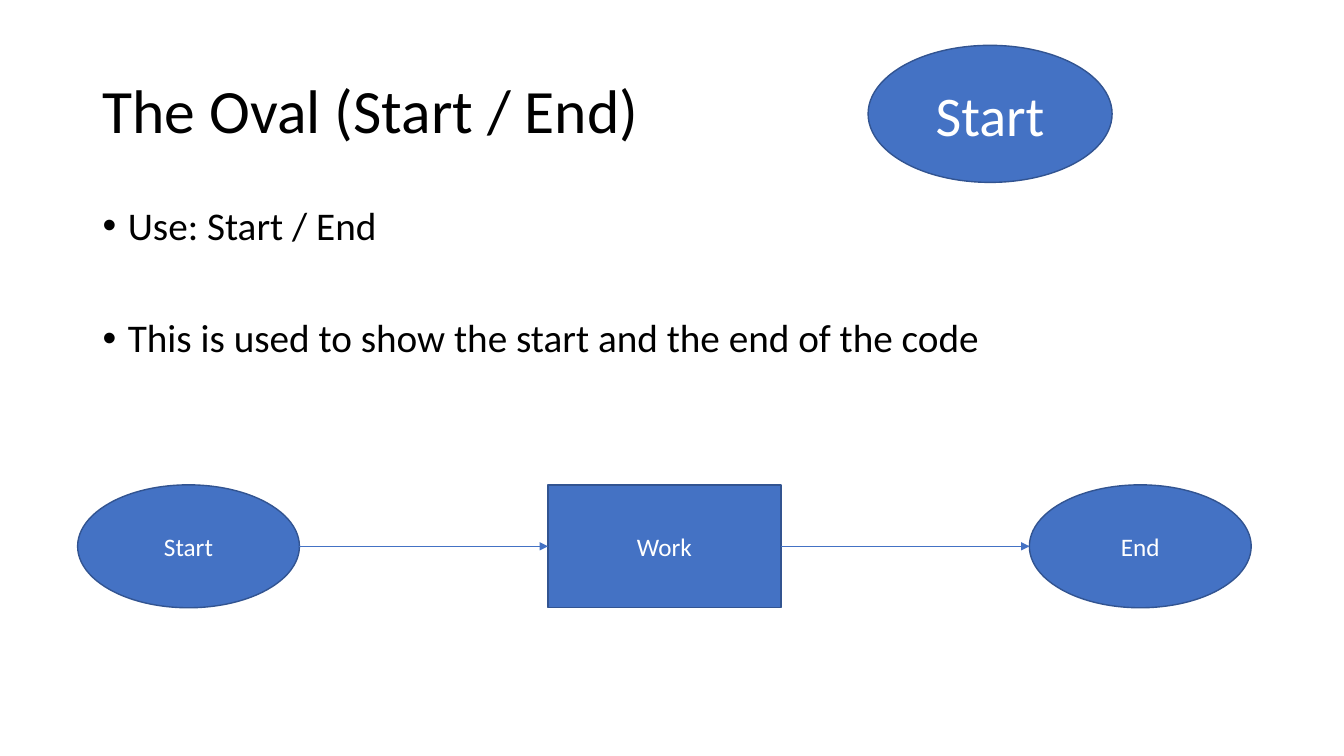
from dataclasses import dataclass

from lxml.etree import SubElement
from pptx import Presentation
from pptx.dml.color import RGBColor
from pptx.enum.shapes import MSO_CONNECTOR, MSO_SHAPE
from pptx.enum.text import MSO_ANCHOR, PP_ALIGN
from pptx.oxml.ns import qn
from pptx.util import Inches, Pt


@dataclass(frozen=True)
class Theme:
    """Colours, type sizes and line widths."""
    font: str = "Calibri"
    ink: str = "000000"
    pale: str = "FFFFFF"
    fill: str = "4472C4"
    edge: str = "325491"
    title: int = 44
    body: int = 28
    badge: int = 40
    label: int = 18
    rim: float = 1
    wire: float = 0.5


THEME = Theme()


def paint(name):
    """Turn a hex string into a colour."""
    return RGBColor.from_string(name)


def write(para, text, size, color):
    """Add one styled run to a paragraph."""
    run = para.add_run()
    run.text = text
    run.font.name = THEME.font
    run.font.size = Pt(size)
    run.font.color.rgb = paint(color)


def frame(slide, box, anchor):
    """Add a wrapping text box and return its frame."""
    text = slide.shapes.add_textbox(*map(Inches, box)).text_frame
    text.word_wrap = True
    text.vertical_anchor = anchor
    return text


def title(slide, box, text):
    """Place the slide title, centred in height."""
    para = frame(slide, box, MSO_ANCHOR.MIDDLE).paragraphs[0]
    para.line_spacing = 0.9
    write(para, text, THEME.title, THEME.ink)


def bullets(slide, box, items, gap):
    """Place a bulleted list with a gap in points between items."""
    text = frame(slide, box, MSO_ANCHOR.TOP)
    for num, item in enumerate(items):
        para = text.add_paragraph() if num else text.paragraphs[0]
        props = para._p.get_or_add_pPr()
        props.set("marL", str(Inches(0.25)))
        props.set("indent", str(-Inches(0.25)))
        SubElement(props, qn("a:buFont")).set("typeface", "Arial")
        SubElement(props, qn("a:buChar")).set("char", "•")
        para.line_spacing = 0.9
        if num:
            para.space_before = Pt(gap)
        write(para, item, THEME.body, THEME.ink)


def node(slide, box, kind, text, size):
    """Place a filled flowchart symbol with a centred label."""
    shape = slide.shapes.add_shape(kind, *map(Inches, box))
    shape.shadow.inherit = False
    shape.fill.solid()
    shape.fill.fore_color.rgb = paint(THEME.fill)
    shape.line.color.rgb = paint(THEME.edge)
    shape.line.width = Pt(THEME.rim)
    shape.text_frame.word_wrap = True
    shape.text_frame.vertical_anchor = MSO_ANCHOR.MIDDLE
    para = shape.text_frame.paragraphs[0]
    para.alignment = PP_ALIGN.CENTER
    write(para, text, size, THEME.pale)
    return shape


def arrow(slide, start, end):
    """Draw an arrow from the right of one node to the left of the next."""
    mid = start.top + start.height // 2
    wire = slide.shapes.add_connector(
        MSO_CONNECTOR.STRAIGHT, start.left + start.width, mid, end.left, mid)
    wire.line.color.rgb = paint(THEME.fill)
    wire.line.width = Pt(THEME.wire)
    SubElement(wire.line._get_or_add_ln(), qn("a:tailEnd")).set("type", "triangle")
    SubElement(wire._element.spPr, qn("a:effectLst"))


def flow(slide, box, steps):
    """Spread the steps over the box with equal gaps and join them."""
    left, top, width, height = box
    gap = (width - sum(step[2] for step in steps)) / (len(steps) - 1)
    nodes = []
    for text, kind, wide in steps:
        nodes.append(node(slide, (left, top, wide, height), kind, text, THEME.label))
        left += wide + gap
    for start, end in zip(nodes, nodes[1:]):
        arrow(slide, start, end)


def main():
    """Build the slide and save it."""
    deck = Presentation()
    deck.slide_width, deck.slide_height = Inches(13.33), Inches(7.5)
    slide = deck.slides.add_slide(deck.slide_layouts[6])
    oval, rect = MSO_SHAPE.OVAL, MSO_SHAPE.RECTANGLE
    title(slide, (0.92, 0.4, 11.5, 1.45), "The Oval (Start / End)")
    bullets(slide, (0.92, 2, 11.5, 4.76), (
        "Use: Start / End",
        "This is used to show the start and the end of the code",
    ), 50)
    node(slide, (8.61, 0.45, 2.42, 1.36), oval, "Start", THEME.badge)
    flow(slide, (0.77, 4.81, 11.64, 1.22), (
        ("Start", oval, 2.2), ("Work", rect, 2.31), ("End", oval, 2.2)))
    deck.save("out.pptx")


if __name__ == "__main__":
    main()
